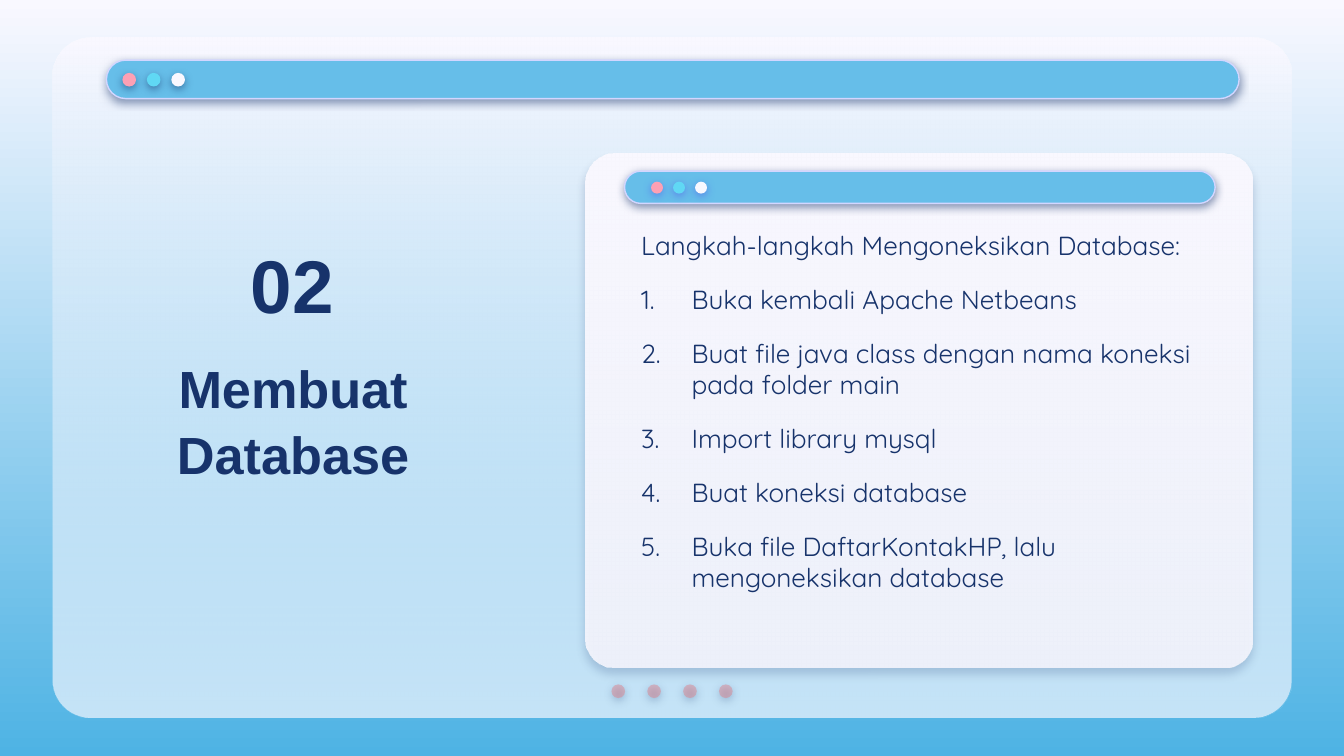
from dataclasses import dataclass

from lxml import etree
from pptx import Presentation
from pptx.dml.color import RGBColor
from pptx.enum import shapes, text
from pptx.oxml.ns import qn
from pptx.util import Pt


@dataclass(frozen=True)
class Theme:
    ink: str = "17336B"
    pale: str = "F9F8FF"
    sky: str = "4EB3E4"
    blue: str = "66BEE9"
    rim: str = "D2D6FF"
    rose: str = "E27B83"
    pink: str = "FDA0B4"
    aqua: str = "60D8F4"
    glow: str = "5352EE"
    head: str = "Arial"
    body: str = "Quicksand"
    huge: int = 40
    big: int = 28
    small: int = 14


T = Theme()
LIGHTS = [T.pink, T.aqua, T.pale]
STEPS = [
    "Buka kembali Apache Netbeans",
    "Buat file java class dengan nama koneksi pada folder main",
    "Import library mysql",
    "Buat koneksi database",
    "Buka file DaftarKontakHP, lalu mengoneksikan database",
]


def rgb(color):
    return RGBColor.from_string(color)


def node(parent, tag, **attrs):
    child = etree.SubElement(parent, qn("a:" + tag))
    for key, value in attrs.items():
        child.set(key, str(value))
    return child


def blend(fill, top, end):
    """Fill with a gradient that runs straight down."""
    fill.gradient()
    fill.gradient_angle = 270
    for stop, color in zip(fill.gradient_stops, (top, end)):
        stop.color.rgb = rgb(color)


def shade(shape, color, alpha=50, dist=1.5, angle=90):
    effects = shape._element.spPr.find(qn("a:effectLst"))
    outer = node(effects, "outerShdw", blurRad=Pt(4.5), dist=Pt(dist),
                 dir=angle * 60000, algn="bl", rotWithShape=0)
    node(node(outer, "srgbClr", val=color), "alpha", val=alpha * 1000)


def draw(slide, kind, box, fill, end=None, alpha=100, adj=None, line=None):
    """Add a preset shape; alpha applies to the last fill colour."""
    shape = slide.shapes.add_shape(kind, *map(Pt, box))
    if adj is not None:
        shape.adjustments[0] = adj
    if end:
        blend(shape.fill, fill, end)
    else:
        shape.fill.solid()
        shape.fill.fore_color.rgb = rgb(fill)
    if alpha < 100:
        last = shape._element.spPr.findall(".//" + qn("a:srgbClr"))[-1]
        node(last, "alpha", val=alpha * 1000)
    if line:
        shape.line.color.rgb = rgb(line)
        shape.line.width = Pt(0.75)
    else:
        shape.line.fill.background()
    shape.shadow.inherit = False
    return shape


def round_box(slide, box, fill, **look):
    return draw(slide, shapes.MSO_SHAPE.ROUNDED_RECTANGLE, box, fill, **look)


def dots(slide, box, step, colors, glow=T.ink, alpha=100):
    """Draw a row of dots; box holds the first one."""
    x, y, w, h = box
    for i, color in enumerate(colors):
        dot = draw(slide, shapes.MSO_SHAPE.OVAL, (x + i * step, y, w, h),
                   color, alpha=alpha)
        shade(dot, glow)


def bar(slide, box, inset, size, step, glow=T.ink):
    """Draw a window bar with its three lights."""
    x, y, w, h = box
    shade(round_box(slide, box, T.blue, adj=0.5, line=T.rim), T.ink)
    dots(slide, (x + inset, y + (h - size) / 2 + 0.2, size, size), step, LIGHTS, glow)


def write(shape, lines, size, font, bold=False, align=text.PP_ALIGN.LEFT,
          anchor=text.MSO_ANCHOR.TOP, after=0, spacing=None, first=None):
    """Fill a text frame; paragraphs from index first on are numbered."""
    frame = shape.text_frame
    frame.word_wrap = True
    frame.auto_size = text.MSO_AUTO_SIZE.NONE
    frame.vertical_anchor = anchor
    frame.margin_left = frame.margin_right = Pt(7.2)
    frame.margin_top = frame.margin_bottom = Pt(7.2)
    for i, words in enumerate(lines):
        para = frame.add_paragraph() if i else frame.paragraphs[0]
        para.alignment = align
        para.space_after = Pt(after)
        if spacing:
            para.line_spacing = spacing
        if first is not None and i >= first:
            props = para._p.get_or_add_pPr()
            props.set("marL", str(Pt(27)))
            props.set("indent", str(-Pt(27)))
            node(node(props, "buClr"), "srgbClr", val=T.ink)
            node(props, "buFont", typeface=font)
            node(props, "buAutoNum", type="arabicPeriod")
        run = para.add_run()
        run.text = words
        run.font.name = font
        run.font.size = Pt(size)
        run.font.bold = bold
        run.font.color.rgb = rgb(T.ink)


def label(slide, box, lines, **look):
    write(slide.shapes.add_textbox(*map(Pt, box)), lines, **look)


def panel(slide, box):
    x, y, w, h = box
    round_box(slide, box, T.pale, adj=0.056)
    round_box(slide, box, T.pale, end=T.blue, alpha=35, adj=0.056)
    dots(slide, (x + 299.4, y + 346.5, 7.3, 7.3), 19.2, [T.rose] * 4, alpha=44)
    bar(slide, (x + 28.8, y + 12, w - 57, 20.6), inset=8.6, size=7.3, step=13.1)


def card(slide, box):
    x, y, w, h = box
    base = round_box(slide, box, T.pale, end=T.pale, alpha=87, adj=0.056)
    shade(base, T.ink, alpha=22, dist=3.8, angle=91)
    bar(slide, (x + 21, y + 9.3, w - 41.2, 17.3), inset=14.2, size=6.4,
        step=11.8, glow=T.glow)


def heading(slide, box):
    x, y, w, h = box
    title = slide.shapes.title
    title.left, title.top, title.width, title.height = map(
        Pt, (x, y + 50.4, w, h - 50.4))
    slide.shapes._spTree.append(title._element)
    look = dict(font=T.head, bold=True, align=text.PP_ALIGN.CENTER,
                anchor=text.MSO_ANCHOR.MIDDLE)
    write(title, ["Membuat Database"], size=T.big, spacing=1.05, **look)
    label(slide, (x + 56.2, y, 87.1, 67.7), ["02"], size=T.huge, **look)


def steps(slide, box):
    label(slide, box, ["Langkah-langkah Mengoneksikan Database:"] + STEPS,
          size=T.small, font=T.body, after=12, first=1)


def main():
    deck = Presentation()
    deck.slide_width, deck.slide_height = Pt(720), Pt(405)
    slide = deck.slides.add_slide(deck.slide_layouts[5])
    blend(slide.background.fill, T.pale, T.sky)
    panel(slide, (28.2, 20.2, 663.8, 364.4))
    card(slide, (313.6, 82.4, 357.6, 275))
    heading(slide, (56.9, 118, 200.2, 162.8))
    steps(slide, (336.4, 115.9, 326.9, 239.8))
    deck.save("out.pptx")


if __name__ == "__main__":
    main()
